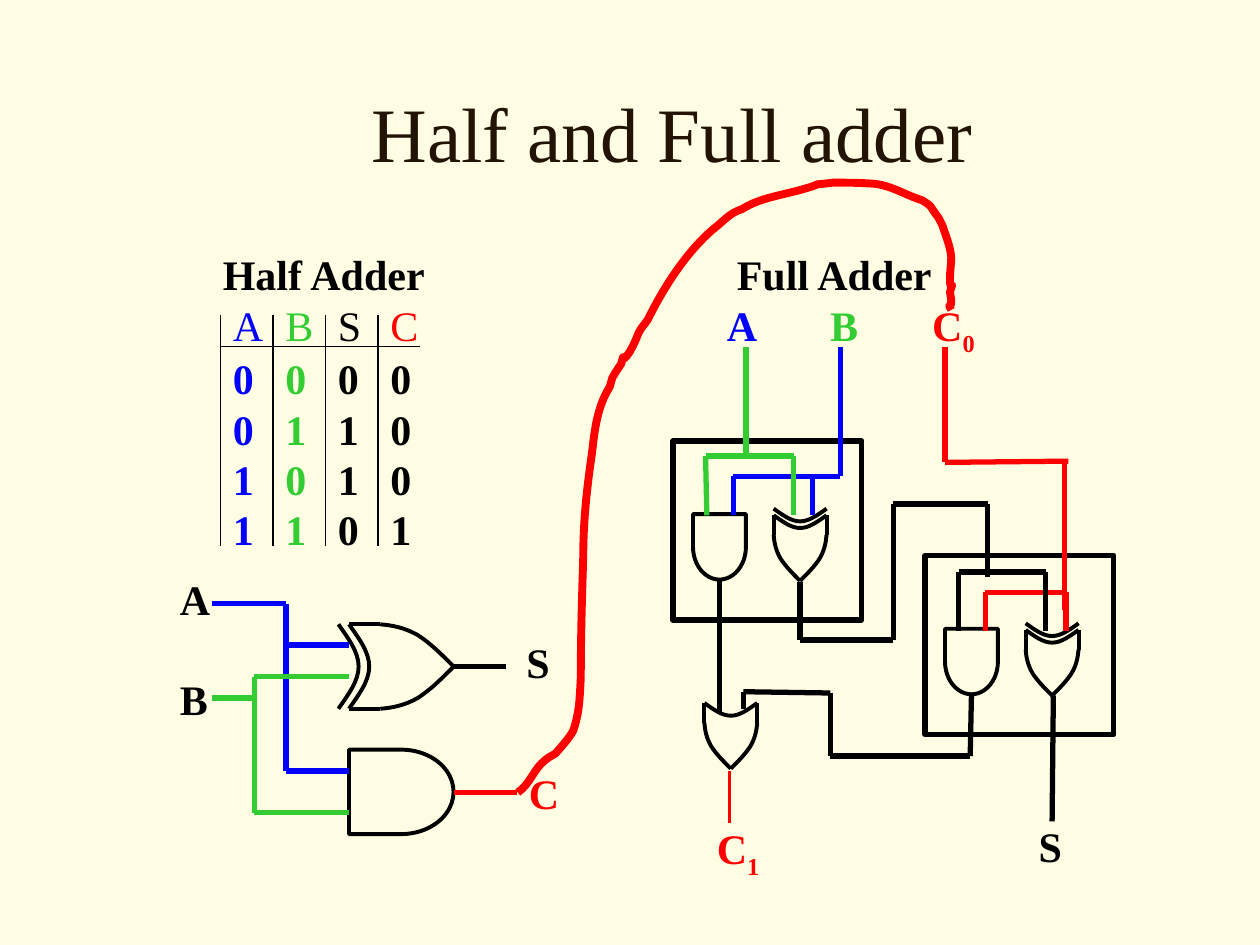
import pptx
import pptx.util
import pptx.dml.color
import pptx.enum.shapes
import pptx.enum.text
import lxml.etree

NS = "{http://schemas.openxmlformats.org/drawingml/2006/main}"
BLACK, BLUE, GREEN, RED = "000000", "0000FF", "33CC33", "FF0000"
KIND = pptx.enum.shapes.MSO_SHAPE

# Cubic curve from the half adder's carry to the full adder's carry in
CARRY = [
    (4.11, 6.29), (4.21, 6.22), (4.24, 6.1), (4.32, 6.04), (4.35, 6.01), (4.38, 6), (4.41, 5.98),
    (4.46, 5.92), (4.51, 5.87), (4.55, 5.8), (4.6, 5.65), (4.6, 5.56), (4.61, 5.38),
    (4.61, 5.05), (4.62, 4.73), (4.63, 4.41), (4.63, 4.13), (4.66, 3.86), (4.7, 3.59),
    (4.72, 3.41), (4.74, 3.23), (4.84, 3.07), (4.85, 3.05), (4.85, 3.02), (4.86, 3),
    (4.88, 2.96), (4.93, 2.89), (4.93, 2.89), (4.97, 2.75), (4.91, 2.93), (5, 2.79),
    (5.03, 2.74), (5.05, 2.69), (5.07, 2.64), (5.09, 2.6), (5.12, 2.57), (5.14, 2.54),
    (5.27, 2.28), (5.44, 2.01), (5.66, 1.82), (5.74, 1.76), (5.79, 1.69), (5.89, 1.66),
    (6.03, 1.57), (6.21, 1.55), (6.38, 1.5), (6.59, 1.44), (6.37, 1.48), (6.61, 1.45),
    (6.72, 1.45), (6.83, 1.45), (6.95, 1.46), (7.09, 1.48), (7.19, 1.55), (7.32, 1.59),
    (7.41, 1.65), (7.36, 1.61), (7.45, 1.73), (7.46, 1.75), (7.48, 1.79), (7.48, 1.79),
    (7.51, 1.88), (7.54, 1.95), (7.55, 2.04), (7.55, 2.1), (7.54, 2.15), (7.54, 2.21),
    (7.54, 2.36), (7.58, 2.18), (7.54, 2.32), (7.54, 2.34), (7.55, 2.36), (7.55, 2.38),
    (7.55, 2.48), (7.51, 2.38), (7.55, 2.46)]


def cm(inch):
    return pptx.util.Cm(inch * 2.54)


def paint(code):
    return pptx.dml.color.RGBColor.from_string(code)


def edge(shape, color, width):
    shape.line.color.rgb = paint(color)
    shape.line.width = pptx.util.Pt(width)


def text(slide, box, paras, color=BLACK, size=24, bold=True, align="LEFT",
         wrap=False, anchor="TOP", gap=0, tabs=()):
    """Each paragraph is a string or a list of (text, color, baseline) runs."""
    frame = slide.shapes.add_textbox(*map(cm, box)).text_frame
    frame.word_wrap = wrap
    frame.vertical_anchor = pptx.enum.text.MSO_ANCHOR[anchor]
    for i, runs in enumerate(paras):
        para = frame.paragraphs[0] if i == 0 else frame.add_paragraph()
        if tabs:
            stops = lxml.etree.SubElement(para._p.get_or_add_pPr(), NS + "tabLst")
            for pos in tabs:
                lxml.etree.SubElement(stops, NS + "tab", pos=str(int(cm(pos))), algn="l")
        para.alignment = pptx.enum.text.PP_ALIGN[align]
        if i and gap:
            para.space_before = pptx.util.Pt(gap)
        for word, hue, base in [(runs, color, 0)] if isinstance(runs, str) else runs:
            run = para.add_run()
            run.text = word
            run.font.name = "Times New Roman"
            run.font.size = pptx.util.Pt(size)
            run.font.bold = bold
            run.font.color.rgb = paint(hue)
            if base:
                run.font._element.set("baseline", str(base))


def wire(slide, color, *points, width=3):
    for start, end in zip(points, points[1:]):
        line = slide.shapes.add_connector(
            pptx.enum.shapes.MSO_CONNECTOR.STRAIGHT, *map(cm, start + end))
        edge(line, color, width)
        lxml.etree.SubElement(line._element.spPr, NS + "effectLst")


def curve(slide, points, color=BLACK, width=2.25):
    """Draw joined cubic curves: a start, then three points for each curve."""
    spots = [(cm(x), cm(y)) for x, y in points]
    pen = slide.shapes.build_freeform(*spots[0])
    pen.add_line_segments(spots[3::3], close=False)
    shape = pen.convert_to_shape()
    # Bend each straight piece into a cubic one
    for i, piece in enumerate(list(shape._element.iter(NS + "lnTo"))):
        bend = lxml.etree.Element(NS + "cubicBezTo")
        for x, y in spots[3 * i + 1:3 * i + 4]:
            lxml.etree.SubElement(bend, NS + "pt", x=str(x - shape.left), y=str(y - shape.top))
        piece.getparent().replace(piece, bend)
    shape.shadow.inherit = False
    shape.fill.background()
    edge(shape, color, width)


def solid(slide, kind, box, width=2.25, turn=0):
    shape = slide.shapes.add_shape(kind, *map(cm, box))
    shape.shadow.inherit = False
    shape.fill.background()
    shape.rotation = turn
    edge(shape, BLACK, width)


def gate(slide, x, y, size, down=True, xor=True):
    """OR or XOR gate; (x, y) is the middle of its back."""
    def place(along, side):
        a, s = along * size, side * size
        return (x + s, y + a) if down else (x + a, y + s)

    flank = [(0.37, 0.5), (0.51, 0.49), (0.66, 0.46), (0.81, 0.375),
             (0.96, 0.28), (1.09, 0.15), (1.24, 0)]
    back = [(0, 0.5), (0.12, 0.33), (0.24, 0.17), (0.24, 0),
            (0.24, -0.17), (0.12, -0.33), (0, -0.5)]
    for sign in (1, -1):
        wire(slide, BLACK, place(0, sign * 0.5), place(0.37, sign * 0.5), width=2.25)
        curve(slide, [place(a, sign * s) for a, s in flank])
    for shift in (0, -0.125) if xor else (0,):
        curve(slide, [place(a + shift, s) for a, s in back])


def table(slide):
    cols = [("A", BLUE, BLUE, "0011"), ("B", GREEN, GREEN, "0101"),
            ("S", BLACK, BLACK, "0110"), ("C", RED, BLACK, "0001")]
    for i, (head, hue, ink, bits) in enumerate(cols):
        x = 1.75 + i * 1.25 / 3
        wire(slide, BLACK, (x, 2.5), (x, 4.33), width=0.75)
        text(slide, (x, 2.33, 0.42, 0.5), [head], hue, bold=False)
        text(slide, (x, 2.75, 0.37, 1.7), bits, ink)
    wire(slide, BLACK, (1.75, 2.75), (3.33, 2.75), width=0.75)


def half(slide):
    text(slide, (1.67, 1.92, 1.82, 0.5), ["Half Adder"])
    table(slide)
    text(slide, (1.33, 4.5, 0.44, 1.3), ["A", "B"], gap=28.8)
    solid(slide, KIND.FLOWCHART_DELAY, (2.77, 5.95, 0.83, 0.67))
    gate(slide, 2.77, 5.29, 0.67, down=False)
    # Inputs
    wire(slide, BLUE, (1.68, 4.79), (2.27, 4.79), (2.27, 6.12), (2.77, 6.12))
    wire(slide, BLUE, (2.27, 5.12), (2.77, 5.12))
    wire(slide, GREEN, (1.68, 5.54), (2.02, 5.54))
    wire(slide, GREEN, (2.77, 5.37), (2.02, 5.37), (2.02, 6.45), (2.77, 6.45))
    # Outputs
    wire(slide, BLACK, (3.6, 5.29), (4.02, 5.29))
    wire(slide, RED, (3.6, 6.29), (4.1, 6.29))
    text(slide, (4.08, 5, 0.39, 0.5), ["S"])
    text(slide, (4.1, 6.04, 0.44, 0.5), ["C"], RED)


def full(slide):
    text(slide, (5.75, 1.92, 1.77, 0.5), ["Full Adder"])
    text(slide, (5.67, 2.33, 2.18, 0.5),
         [[("A\t", BLUE, 0), ("B\t", GREEN, 0), ("C", RED, 0), ("0", RED, -25000)]],
         tabs=(0.82, 1.63))
    # Two half adders, the second moved right and down
    for x, y in ((0, 0), (2, 0.91)):
        solid(slide, KIND.RECTANGLE, (5.38 + x, 3.46 + y, 1.42, 1.5), 3, 90)
        solid(slide, KIND.FLOWCHART_DELAY, (5.45 + x, 4.13 + y, 0.52, 0.42), turn=90)
        gate(slide, 6.35 + x, 4.09 + y, 0.42)
    gate(slide, 5.8, 5.58, 0.42, xor=False)
    # First stage inputs
    wire(slide, BLUE, (6.67, 2.75), (6.67, 3.42), (6.67, 3.78), (5.82, 3.78), (5.82, 4.09))
    wire(slide, BLUE, (6.45, 3.78), (6.45, 4.09))
    wire(slide, GREEN, (5.61, 4.09), (5.6, 3.62), (6.3, 3.62), (6.3, 4.09))
    wire(slide, GREEN, (5.92, 2.75), (5.92, 3.62))
    # First stage outputs
    wire(slide, BLACK, (5.71, 4.6), (5.71, 5.66))
    wire(slide, BLACK, (6.35, 4.62), (6.35, 5.08), (7.09, 5.08), (7.09, 4), (7.84, 4), (7.84, 4.58))
    # Second stage inputs
    wire(slide, RED, (8.46, 5.01), (8.46, 4.7), (7.82, 4.7), (7.82, 5.01))
    wire(slide, BLACK, (7.61, 5.01), (7.61, 4.54), (8.3, 4.54), (8.3, 5.01))
    wire(slide, RED, (7.5, 2.75), (7.5, 3.67), (8.48, 3.66))
    wire(slide, RED, (8.45, 3.67), (8.45, 4.84))
    # Second stage outputs
    wire(slide, BLACK, (8.36, 5.52), (8.35, 6.52))
    wire(slide, BLACK, (7.71, 5.52), (7.7, 6), (6.59, 6), (6.59, 5.5), (5.9, 5.49), (5.9, 5.63))
    wire(slide, RED, (5.79, 6.12), (5.79, 6.53), width=2.25)
    text(slide, (8.14, 6.46, 0.39, 0.5), ["S"], align="CENTER")
    text(slide, (5.59, 6.48, 0.55, 0.5), [[("C", RED, 0), ("1", RED, -25000)]])


def main():
    deck = pptx.Presentation()
    deck.slide_width, deck.slide_height = cm(10), cm(7.5)
    slide = deck.slides.add_slide(deck.slide_layouts[6])
    slide.background.fill.solid()
    slide.background.fill.fore_color.rgb = paint("FEFDE3")
    text(slide, (1.17, 0.42, 8.33, 1.25), ["Half and Full adder"], "221304", 44,
         bold=False, align="CENTER", wrap=True, anchor="MIDDLE")
    half(slide)
    full(slide)
    curve(slide, CARRY, RED, 4.5)
    deck.save("out.pptx")


if __name__ == "__main__":
    main()
